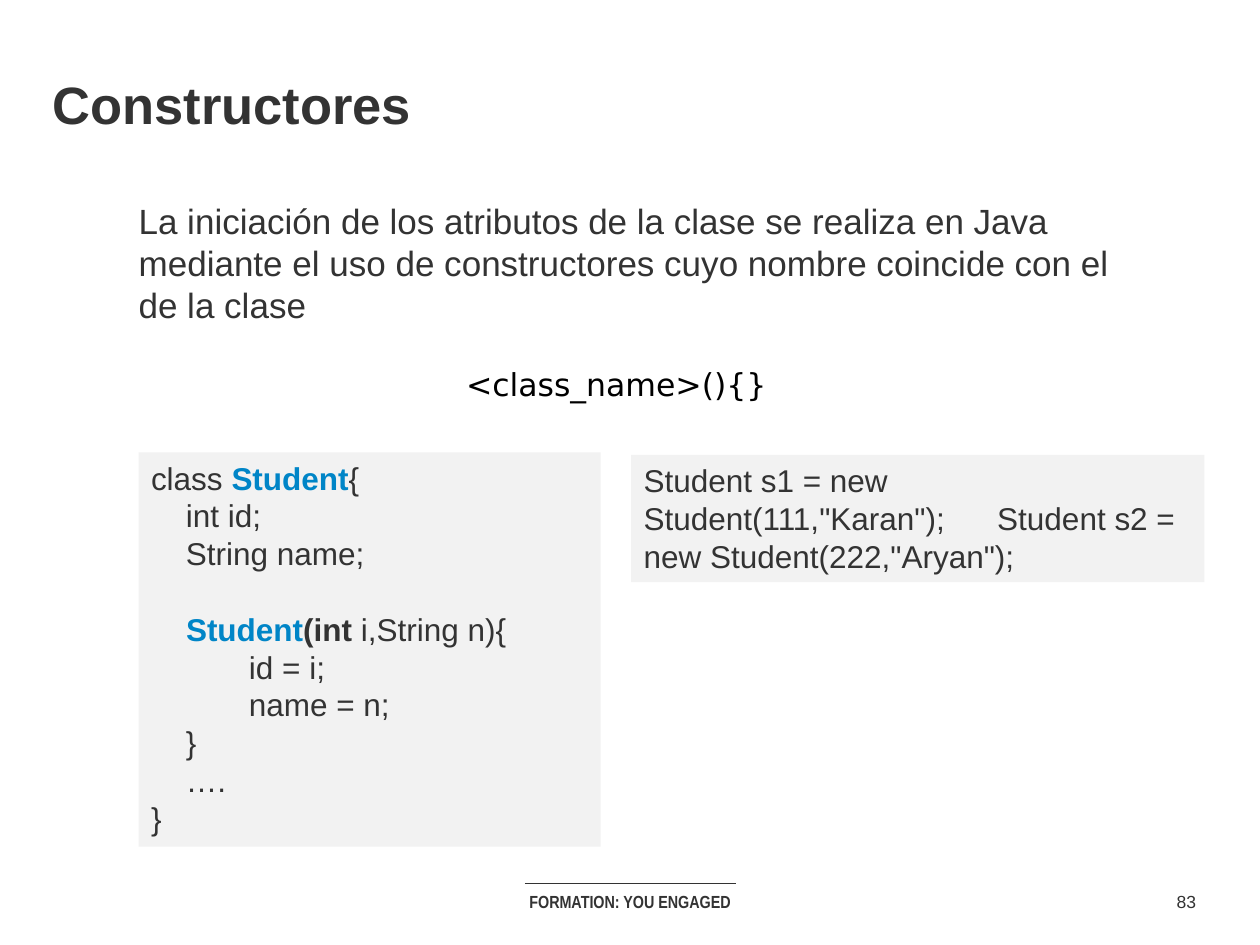
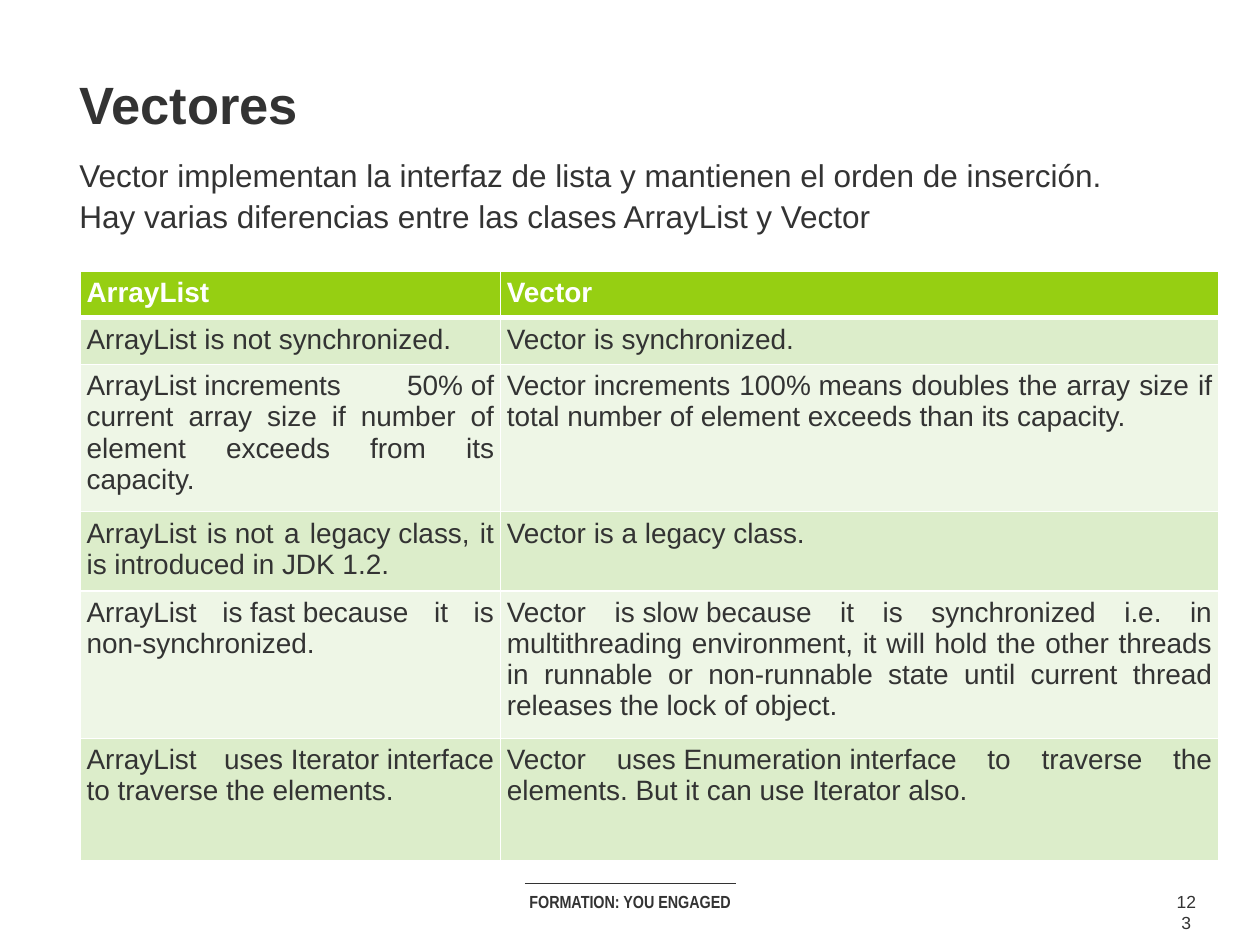
from lxml import etree
from pptx import Presentation
from pptx.dml.color import RGBColor
from pptx.enum.shapes import MSO_CONNECTOR, MSO_SHAPE
from pptx.enum.text import MSO_ANCHOR, MSO_AUTO_SIZE, PP_ALIGN
from pptx.oxml.ns import qn
from pptx.util import Pt

LEFT, CENTER, JUSTIFY = PP_ALIGN.LEFT, PP_ALIGN.CENTER, PP_ALIGN.JUSTIFY
TOP, NO_FIT = MSO_ANCHOR.TOP, MSO_AUTO_SIZE.NONE
RECT, STRAIGHT = MSO_SHAPE.RECTANGLE, MSO_CONNECTOR.STRAIGHT

INK, WHITE, BLACK = "333333", "FFFFFF", "000000"
BLUE, GREY = "0085C7", "F2F2F2"
HEADER, BANDS = "96CF12", ("DCEDCA", "EEF6E6")
BLANK_LINE = 21.6

# A tilde stands for a no-break space in these rows
COMPARISON = [
    ("ArrayList", "Vector"),
    ("ArrayList is~not synchronized.", "Vector is~synchronized."),
    ("ArrayList~increments 50%~of current array size if number of element "
     "exceeds from its capacity.",
     "Vector~increments 100%~means doubles the array size if total number of "
     "element exceeds than its capacity."),
    ("ArrayList is~not a legacy~class, it is introduced in JDK 1.2.",
     "Vector is a~legacy~class."),
    ("ArrayList is~fast~because it is non-synchronized.",
     "Vector is~slow~because it is synchronized i.e. in multithreading "
     "environment, it will hold the other threads in runnable or non-runnable "
     "state until current thread releases the lock of object."),
    ("ArrayList uses~Iterator~interface to traverse the elements.",
     "Vector uses~Enumeration~interface to traverse the elements. But it can "
     "use Iterator also."),
]


def rgb(value):
    return RGBColor.from_string(value)


def add_run(p, text, size=18, font="Arial", color=INK, bold=False):
    r = p.add_run()
    r.text = text
    r.font.size, r.font.name = Pt(size), font
    r.font.bold = bold
    r.font.color.rgb = rgb(color)


def write(p, text, align=LEFT, leading=None, before=0, **fmt):
    """Fill a paragraph from a string or a list of (text, format) runs."""
    p.alignment = align
    p.space_before = Pt(before)
    if leading:
        p.line_spacing = Pt(leading)
    for part, extra in [(text, {})] if isinstance(text, str) else text:
        add_run(p, part, **{**fmt, **extra})


def set_frame(shape, inset_x=7.2, inset_y=3.6):
    tf = shape.text_frame
    tf.word_wrap, tf.auto_size, tf.vertical_anchor = True, NO_FIT, TOP
    tf.margin_left = tf.margin_right = Pt(inset_x)
    tf.margin_top = tf.margin_bottom = Pt(inset_y)
    return tf


def place(shape, x, y, w, h):
    shape.left, shape.top, shape.width, shape.height = map(Pt, (x, y, w, h))


def add_text(s, text, x, y, w, h, **fmt):
    tf = set_frame(s.shapes.add_textbox(Pt(x), Pt(y), Pt(w), Pt(h)))
    write(tf.paragraphs[0], text, **fmt)


def add_title(s, text, x):
    place(s.shapes.title, x, 37.4, 630, 44)
    tf = set_frame(s.shapes.title, inset_x=0)
    write(tf.paragraphs[0], text, size=30, bold=True, leading=36)


def add_body(s, lines, x, y, w, h, gap=0, **fmt):
    body = s.placeholders[1]
    place(body, x, y, w, h)
    tf = set_frame(body, 0, 0)
    for i, line in enumerate(lines):
        p = tf.add_paragraph() if i else tf.paragraphs[0]
        pPr = p._p.get_or_add_pPr()
        pPr.set("marL", "0")
        pPr.set("indent", "0")
        etree.SubElement(pPr, qn("a:buNone"))
        write(p, line, before=gap if i else 0, **fmt)


def add_code(s, lines, x, y, w, h):
    """Grey panel of code; each line is (content, space before)."""
    panel = s.shapes.add_shape(RECT, Pt(x), Pt(y), Pt(w), Pt(h))
    panel.shadow.inherit = False
    panel.fill.solid()
    panel.fill.fore_color.rgb = rgb(GREY)
    panel.line.fill.background()
    tf = set_frame(panel)
    for i, (line, before) in enumerate(lines):
        p = tf.add_paragraph() if i else tf.paragraphs[0]
        write(p, line, leading=21.6, before=before)


def add_footer(s, number):
    add_text(s, "FORMATION: YOU ENGAGED", 264, 505.4, 192, 19.4, align=CENTER,
             size=10, font="Arial Narrow", bold=True, leading=12)
    rule = s.shapes.add_connector(STRAIGHT, Pt(300), Pt(504.7), Pt(420.5), Pt(504.7))
    rule.line.color.rgb = rgb(INK)
    rule.line.width = Pt(0.75)
    etree.SubElement(rule._element.spPr, qn("a:effectLst"))
    add_text(s, str(number), 664.6, 505.4, 26.6, 19.4, align=CENTER, size=10, leading=12)


def set_borders(cell, **widths):
    tcPr = cell._tc.get_or_add_tcPr()
    for side in "LRTB":
        ln = etree.SubElement(tcPr, qn(f"a:ln{side}"), w=str(Pt(widths.get(side, 1))))
        fill = etree.SubElement(ln, qn("a:solidFill"))
        etree.SubElement(fill, qn("a:srgbClr"), val=WHITE)


def add_comparison(s, rows, x, y, widths, heights):
    table = s.shapes.add_table(len(rows), len(widths), Pt(x), Pt(y),
                               Pt(sum(widths)), Pt(sum(heights))).table
    for column, width in zip(table.columns, widths):
        column.width = Pt(width)
    for i, texts in enumerate(rows):
        table.rows[i].height = Pt(heights[i])
        head = i == 0
        for j, text in enumerate(texts):
            cell = table.cell(i, j)
            cell.margin_left = cell.margin_right = Pt(3.6)
            cell.margin_top = cell.margin_bottom = Pt(3.6)
            set_borders(cell, B=3 if head else 1, T=3 if i == 1 else 1)
            cell.fill.solid()
            cell.fill.fore_color.rgb = rgb(HEADER if head else BANDS[(i - 1) % 2])
            write(cell.text_frame.paragraphs[0], text.replace("~", chr(160)),
                  align=LEFT if head else JUSTIFY, size=16,
                  color=WHITE if head else INK, bold=head)


def new_slide(prs, title, title_x, number):
    s = prs.slides.add_slide(prs.slide_layouts[1])
    add_title(s, title, title_x)
    add_footer(s, number)
    return s


def constructors_slide(prs):
    s = new_slide(prs, "Constructores", 30, 83)
    add_body(s, ["La iniciación de los atributos de la clase se realiza en Java "
                 "mediante el uso de constructores cuyo nombre coincide con el "
                 "de la clase"], 79.2, 113.8, 581, 123, size=20, leading=24)
    add_text(s, "<class_name>(){}", 259.2, 205.2, 203, 28.8, align=JUSTIFY,
             font="DejaVu Sans", color=BLACK)

    # Class definition and its use
    name = ("Student", {"color": BLUE, "bold": True})
    add_code(s, [
        ([("class ", {}), name, ("{", {})], 0),
        ("    int id;", 0),
        ("    String name;", 0),
        ([("    ", {}), name, ("(int", {"bold": True}), (" i,String n){", {})], BLANK_LINE),
        ("\t    id = i;", 0),
        ("\t    name = n;", 0),
        ("    }", 0),
        ("    ….", 0),
        ("}", 0),
    ], 79.2, 258.5, 264, 225.4)
    add_code(s, [('Student s1 = new Student(111,"Karan");      '
                  'Student s2 = new Student(222,"Aryan");', 0)],
             360.7, 260, 327.6, 72.7)


def vectors_slide(prs):
    s = new_slide(prs, "Vectores", 45.4, 123)
    add_body(s, ["Vector implementan la interfaz de lista y mantienen el orden de inserción.",
                 "Hay varias diferencias entre las clases ArrayList y Vector"],
             45.4, 93.6, 620.6, 98.6, gap=6, leading=17.3)
    add_comparison(s, COMPARISON, 45.9, 155, (240.2, 410.4),
                   (26.6, 26.6, 84.2, 45.4, 84.2, 70.2))


def main():
    prs = Presentation()
    prs.slide_width, prs.slide_height = Pt(720), Pt(540)
    constructors_slide(prs)
    vectors_slide(prs)
    prs.save("out.pptx")


if __name__ == "__main__":
    main()
